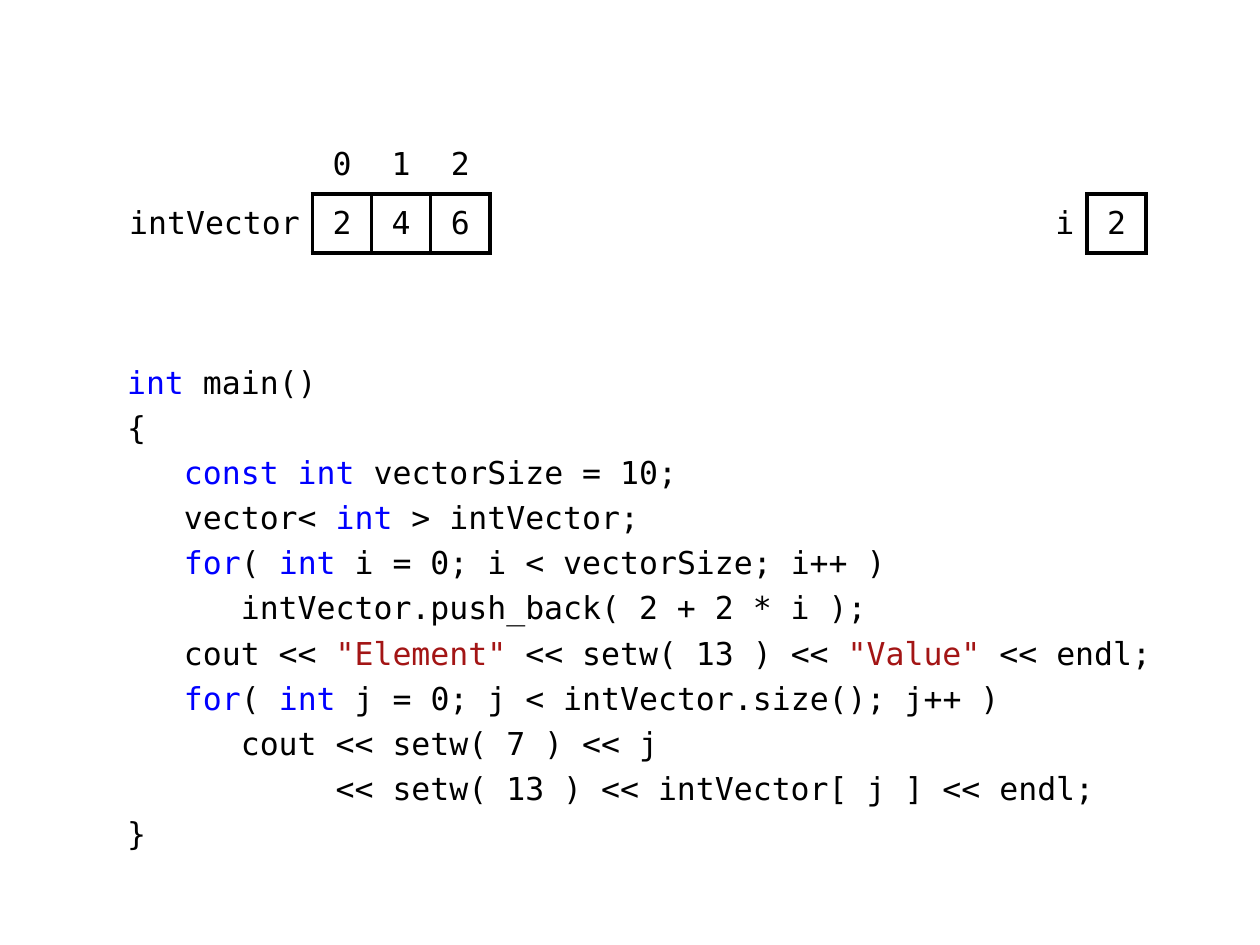
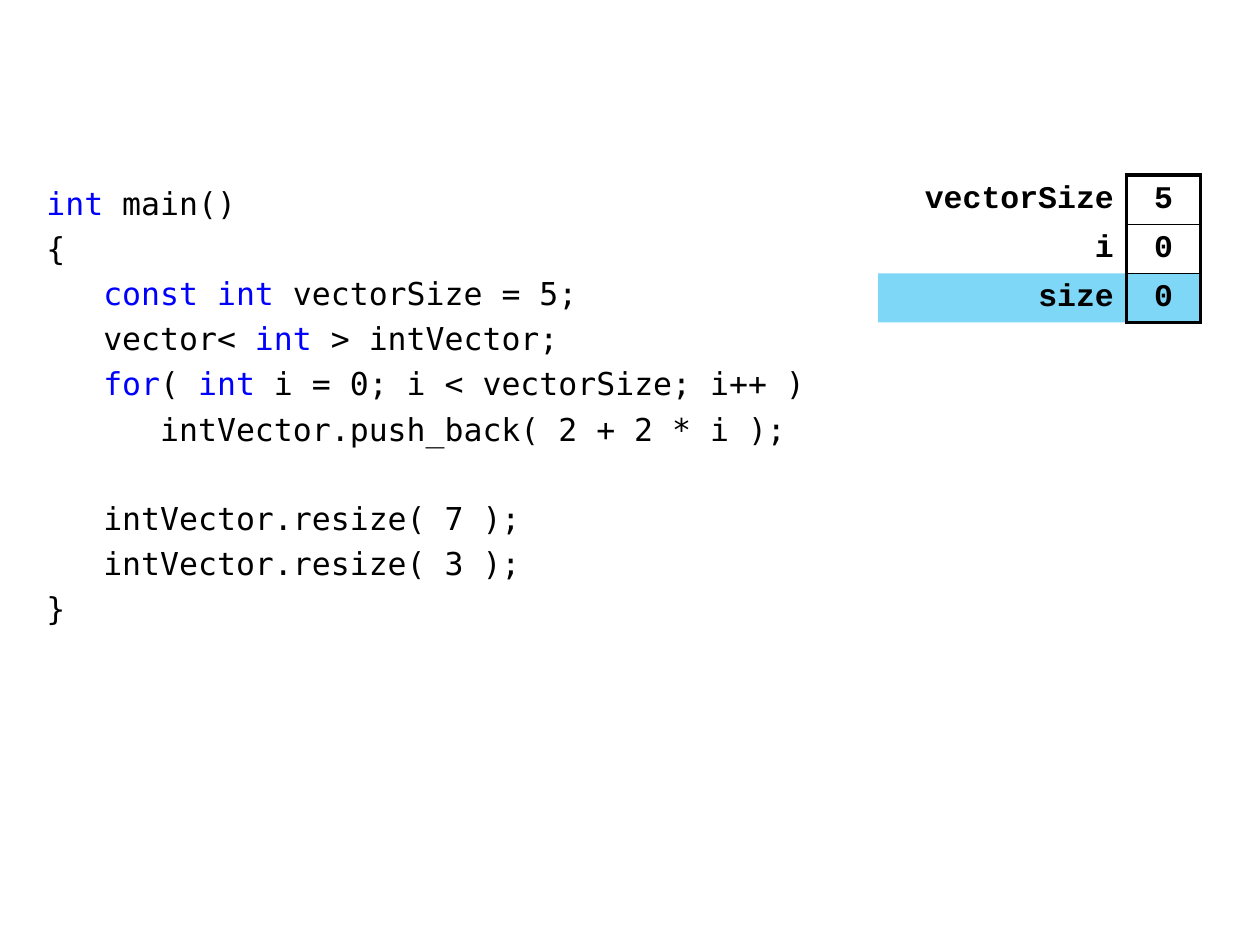
from lxml.etree import SubElement
from pptx import Presentation
from pptx.dml.color import RGBColor
from pptx.enum.text import MSO_ANCHOR as Anchor, PP_ALIGN as Align
from pptx.oxml.ns import qn
from pptx.util import Inches, Pt

BLACK, KEYWORD, STRING, HIGHLIGHT = "000000", "0000FF", "A31515", "00B0F0"
CODE_FONT, LABEL_FONT = "DejaVu Sans Mono", "Courier New"
THICK, THIN = 2.25, 1
BOXED = dict.fromkeys("LRTB", THICK)


def rgb(value):
    return RGBColor.from_string(value)


class Deck:
    size = Pt(18)
    line_gap = Pt(4.2)
    empty_line = Pt(29.4)

    def __init__(self):
        self.prs = Presentation()
        self.prs.slide_width, self.prs.slide_height = Inches(10), Inches(7.5)

    def new_slide(self):
        self.slide = self.prs.slides.add_slide(self.prs.slide_layouts[6])

    def code(self, left, top, width, height, listing):
        frame = self.slide.shapes.add_textbox(
            Inches(left), Inches(top), Inches(width), Inches(height)).text_frame
        frame.word_wrap = True
        space = None
        line = frame.paragraphs[0]
        for source in listing.strip().split("\n"):
            if not source:
                space = self.empty_line
                continue
            if line.runs:
                line = frame.add_paragraph()
            if space is not None:
                line.space_before = space
            space = self.line_gap
            line.font.name, line.font.size = CODE_FONT, self.size
            for index, piece in enumerate(source.split("`")):
                if piece:
                    run = line.add_run()
                    run.text = piece
                    marked = STRING if piece.startswith('"') else KEYWORD
                    run.font.color.rgb = rgb(marked if index % 2 else BLACK)

    def grid(self, left, top, widths, row_height, rows):
        table = self.slide.shapes.add_table(
            rows, len(widths), Inches(left), Inches(top),
            Inches(sum(widths)), Inches(row_height * rows)).table
        table.first_row = table.horz_banding = False
        for column, width in zip(table.columns, widths):
            column.width = Inches(width)
        for row in table.rows:
            row.height = Inches(row_height)
        return table

    def cell(self, cell, text="", align=Align.CENTER, borders=None,
             font=CODE_FONT, bold=False, fill=None):
        cell.margin_left = cell.margin_right = Inches(0.1)
        cell.margin_top = cell.margin_bottom = Inches(0.04)
        cell.vertical_anchor = Anchor.MIDDLE
        cell.text = text
        entry = cell.text_frame.paragraphs[0]
        entry.alignment = align
        entry.font.name, entry.font.size, entry.font.bold = font, self.size, bold
        entry.font.color.rgb = rgb(BLACK)
        self.borders(cell, borders or {})
        if fill:
            cell.fill.solid()
            cell.fill.fore_color.rgb = rgb(fill)
            tint = cell._tc.tcPr.find(qn("a:solidFill"))[0]
            SubElement(tint, qn("a:alpha"), val="50000")
        else:
            cell.fill.background()

    def borders(self, cell, widths):
        properties = cell._tc.get_or_add_tcPr()
        for side in "LRTB":
            line = SubElement(properties, qn(f"a:ln{side}"))
            if side in widths:
                line.set("w", str(Pt(widths[side])))
                color = SubElement(line, qn("a:solidFill"))
                SubElement(color, qn("a:srgbClr"), val=BLACK)
            else:
                SubElement(line, qn("a:noFill"))

    def vector(self, name, values, counter, count):
        cell_size, slots = 0.47, 10
        counter_label = slots + 1
        counter_value = slots + 2
        widths = [1.57] + [cell_size] * slots + [1.45, cell_size]
        table = self.grid(0.91, 1.07, widths, cell_size, 2)
        boxes = {column: value for column, value in enumerate(values, 1)}
        boxes[counter_value] = count
        labels = {0: name, counter_label: counter}
        for column in range(len(widths)):
            heading = str(column - 1) if 1 <= column <= len(values) else ""
            self.cell(table.cell(0, column), heading,
                      borders={"B": THICK} if column in boxes else None)
            body = table.cell(1, column)
            if column in boxes:
                self.cell(body, str(boxes[column]), borders=BOXED)
            elif column in labels:
                self.cell(body, labels[column], Align.RIGHT, {"R": THICK})
            else:
                after_vector = column == len(values) + 1
                self.cell(body, borders={"L": THICK} if after_vector else None)

    def variables(self, entries, highlighted):
        table = self.grid(6.97, 1.39, [1.97, 0.59], 0.39, len(entries))
        last = len(entries) - 1
        for row, (name, value) in enumerate(entries):
            look = dict(font=LABEL_FONT, bold=True,
                        fill=HIGHLIGHT if name == highlighted else None)
            self.cell(table.cell(row, 0), name, Align.RIGHT, {"R": THICK}, **look)
            edges = {**BOXED, "T": THIN if row else THICK,
                     "B": THICK if row == last else THIN}
            self.cell(table.cell(row, 1), str(value), borders=edges, **look)


PRINT_VECTOR = """
`int` main()
{
   `const int `vectorSize = 10;
   vector< `int` > intVector;
   `for`( `int `i = 0; i < vectorSize; i++ )
      intVector.push_back( 2 + 2 * i );
   cout << `"Element"` << setw( 13 ) << `"Value"` << endl;
   `for`( `int` j = 0; j < intVector.size(); j++ )
      cout << setw( 7 ) << j
           << setw( 13 ) << intVector[ j ] << endl;
}
"""

RESIZE_VECTOR = """
`int` main()
{
   `const int `vectorSize = 5;
   vector< `int` > intVector;
   `for`( `int `i = 0; i < vectorSize; i++ )
      intVector.push_back( 2 + 2 * i );

   intVector.resize( 7 );
   intVector.resize( 3 );
}
"""


def main():
    deck = Deck()
    deck.new_slide()
    deck.code(0.91, 2.83, 8.35, 4.09, PRINT_VECTOR)
    deck.vector("intVector", [2, 4, 6], "i", 2)

    deck.new_slide()
    deck.code(0.27, 1.41, 6.3, 3.74, RESIZE_VECTOR)
    deck.variables([("vectorSize", 5), ("i", 0), ("size", 0)], "size")
    deck.prs.save("out.pptx")


if __name__ == "__main__":
    main()
